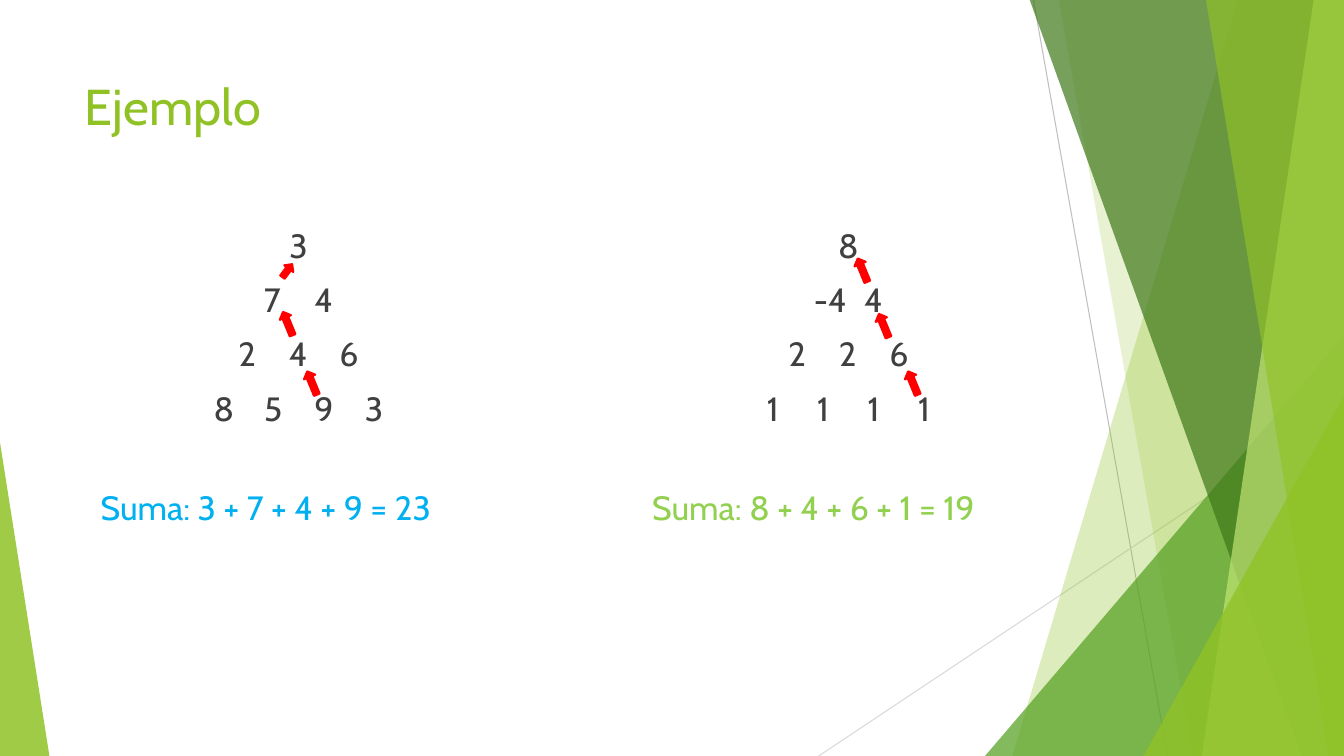
from lxml.etree import SubElement
from pptx import Presentation
from pptx.dml.color import RGBColor
from pptx.enum.shapes import MSO_CONNECTOR, MSO_SHAPE
from pptx.enum.text import MSO_ANCHOR, PP_ALIGN
from pptx.oxml.ns import qn
from pptx.util import Inches, Pt

COLORS = {
    "lime": "90C226", "green": "54A021", "forest": "3F7819", "pale": "C0E474",
    "text": "404040", "blue": "00B0F0", "light_green": "92D050", "red": "FF0000",
    "gray": "BFBFBF", "light_gray": "D9D9D9",
}
TOP, RIGHT, BOTTOM = -0.01, 13.33, 7.5
NUMBER_PITCH = 0.5

RAYS = [  # from, to, color
    ((10.25, 0), (11.58, BOTTOM), "gray"),
    ((RIGHT, 4.03), (8.12, BOTTOM), "light_gray"),
]
# Bands reach the right edge: upper x, lower x, color, opacity in percent.
# Triangles: left, top, width, apex, color, opacity in percent.
FACETS = [
    ("band", (12.28, 10.04, "lime", 30)),
    ("band", (10.5, 11.83, "lime", 20)),
    ("triangle", (9.77, 3.33, 3.56, 1, "green", 72)),
    ("band", (10.21, 12.91, "forest", 70)),
    ("band", (13.03, 11.92, "pale", 70)),
    ("band", (11.96, 13.18, "lime", 65)),
    ("triangle", (11.34, 3.93, 1.99, 1, "lime", 80)),
    ("triangle", (0, 4.39, 0.49, 0, "lime", 85)),
]
PYRAMIDS = [  # box, rows of numbers
    ((1.27, 2.18, 3.38, 2.19), ["3", "7 4", "2 4 6", "8 5 9 3"]),
    ((7.08, 2.18, 2.67, 2.26), ["8", "-4 4", "2 2 6", "1 1 1 1"]),
]
SUMS = [  # left, text, color
    (0.9, "Suma: 3 + 7 + 4 + 9 = 23", "blue"),
    (6.37, "Suma: 8 + 4 + 6 + 1 = 19", "light_green"),
]
STEEP, SHORT = (0.25, 0.12, 247.7), (0.16, 0.11, 306.8)  # width, height, rotation
ARROWS = [  # left, top, form
    (2.97, 3.74, STEEP), (2.73, 3.15, STEEP), (2.77, 2.63, SHORT),
    (8.93, 3.74, STEEP), (8.64, 3.17, STEEP), (8.43, 2.62, STEEP),
]


def rgb(name):
    return RGBColor.from_string(COLORS[name])


def inches(values):
    return [Inches(value) for value in values]


def paint(shape, color, opacity=100):
    """Give the shape a flat fill without line or shadow."""
    shape.shadow.inherit = False
    shape.fill.solid()
    shape.fill.fore_color.rgb = rgb(color)
    shape.line.fill.background()
    if opacity < 100:
        fill_color = shape.element.spPr.find(qn("a:solidFill")).find(qn("a:srgbClr"))
        SubElement(fill_color, qn("a:alpha"), val=str(opacity * 1000))


def add_ray(shapes, start, end, color):
    ray = shapes.add_connector(MSO_CONNECTOR.STRAIGHT, *inches(start + end))
    ray.line.color.rgb = rgb(color)
    ray.line.width = Pt(0.75)
    SubElement(ray.element.spPr, qn("a:effectLst"))


def add_band(shapes, upper, lower, color, opacity):
    builder = shapes.build_freeform(Inches(upper), Inches(TOP))
    corners = [(RIGHT, TOP), (RIGHT, BOTTOM), (lower, BOTTOM)]
    builder.add_line_segments([inches(corner) for corner in corners], close=True)
    paint(builder.convert_to_shape(), color, opacity)


def add_triangle(shapes, left, top, width, apex, color, opacity):
    triangle = shapes.add_shape(
        MSO_SHAPE.ISOSCELES_TRIANGLE, *inches((left, top, width, BOTTOM - top)))
    triangle.adjustments[0] = apex
    paint(triangle, color, opacity)


def add_arrow(shapes, left, top, form):
    width, height, rotation = form
    arrow = shapes.add_shape(MSO_SHAPE.RIGHT_ARROW, *inches((left, top, width, height)))
    arrow.rotation = rotation
    paint(arrow, "red")
    arrow.line.color.rgb = rgb("red")
    arrow.line.width = Pt(1.5)


def write(para, text, color, size=24, **para_format):
    for name, value in para_format.items():
        setattr(para, name, value)
    span = para.add_run()
    span.text = text
    for name, value in {"name": "Cabin", "size": Pt(size), "bold": False}.items():
        setattr(span.font, name, value)
    span.font.color.rgb = rgb(color)


def add_text(shapes, place, lines, color, align):
    box = shapes.add_textbox(*inches(place))
    frame = box.text_frame
    frame.word_wrap = True
    for index, line in enumerate(lines):
        para = frame.add_paragraph() if index else frame.paragraphs[0]
        write(para, line, color, alignment=align, space_before=Pt(10))
    return box


def add_pyramid(shapes, place, rows):
    """Write centred rows of numbers set apart by tabs."""
    lines = [row.replace(" ", "\t") for row in rows]
    box = add_text(shapes, place, lines, "text", PP_ALIGN.CENTER)
    for properties in box.element.iter(qn("a:pPr")):
        properties.set("defTabSz", str(Inches(NUMBER_PITCH)))


def set_title(title, text):
    place = inches((0.74, 0.67, 9.4, 0.75))
    for name, value in zip(("left", "top", "width", "height"), place):
        setattr(title, name, value)
    title.text_frame.vertical_anchor = MSO_ANCHOR.MIDDLE
    write(title.text_frame.paragraphs[0], text, "lime", 36, alignment=PP_ALIGN.LEFT)


def main():
    deck = Presentation()
    deck.slide_width, deck.slide_height = inches((RIGHT, BOTTOM))
    page = deck.slides.add_slide(deck.slide_layouts[5])
    shapes = page.shapes
    add_facet = {"band": add_band, "triangle": add_triangle}
    for ray in RAYS:
        add_ray(shapes, *ray)
    for kind, facet in FACETS:
        add_facet[kind](shapes, *facet)
    set_title(shapes.title, "Ejemplo")
    for place, rows in PYRAMIDS:
        add_pyramid(shapes, place, rows)
    for left, text, color in SUMS:
        add_text(shapes, (left, 4.78, 3.91, 0.75), [text], color, PP_ALIGN.LEFT)
    for arrow in ARROWS:
        add_arrow(shapes, *arrow)
    deck.save("out.pptx")


if __name__ == "__main__":
    main()
